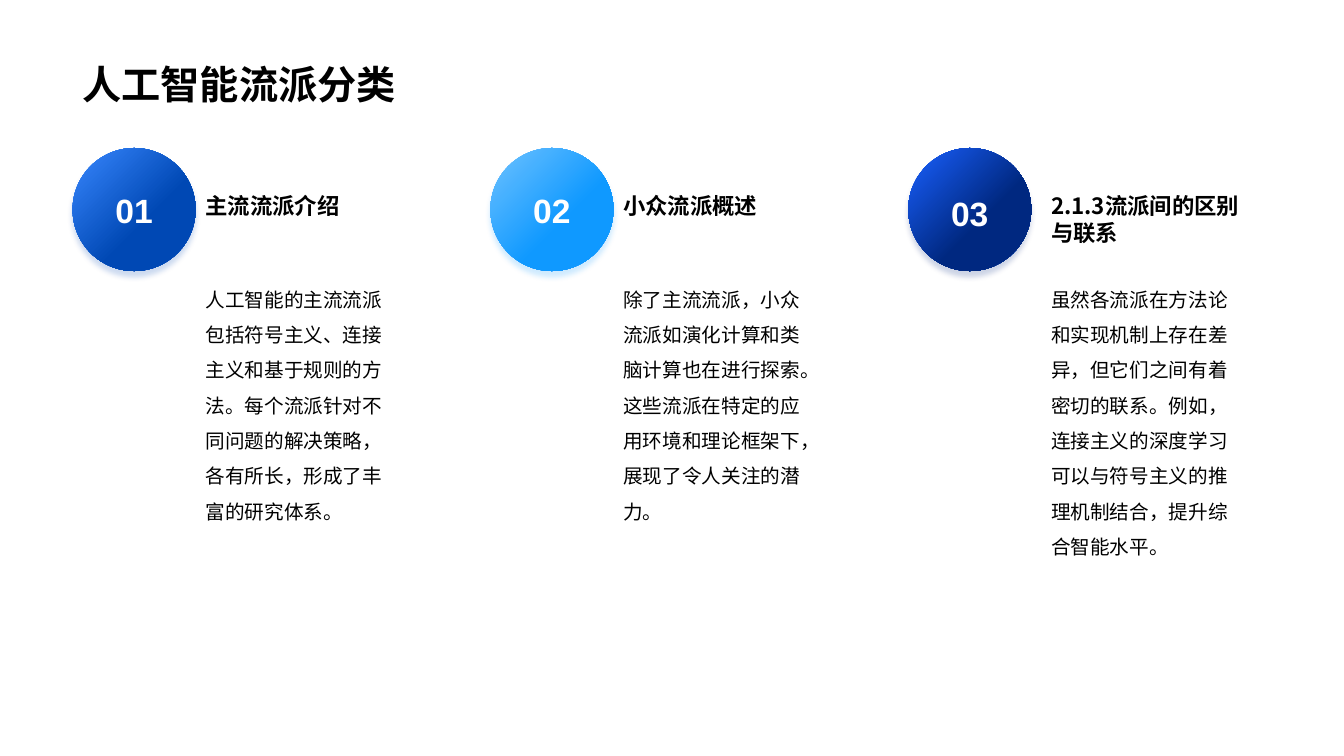
from dataclasses import dataclass

from lxml import etree
from pptx import Presentation
from pptx.dml.color import RGBColor
from pptx.enum.shapes import MSO_SHAPE
from pptx.enum.text import MSO_ANCHOR, MSO_AUTO_SIZE, PP_ALIGN
from pptx.oxml.ns import qn
from pptx.util import Cm, Pt

OVAL = MSO_SHAPE.OVAL
TOP, BOTTOM = MSO_ANCHOR.TOP, MSO_ANCHOR.BOTTOM
LEFT, CENTER = PP_ALIGN.LEFT, PP_ALIGN.CENTER
FIT_SHAPE = MSO_AUTO_SIZE.SHAPE_TO_FIT_TEXT

LATIN_FONT = "Arial"
CJK_FONT = "Noto Sans CJK SC"
COLORS = {
    "text": "000000",
    "number": "FFFFFF",
    "blue_light": "3988FF",
    "blue": "0048B4",
    "sky_light": "6FC2FF",
    "sky": "0F99FF",
    "navy_light": "1A61FF",
    "navy": "002880",
}

# Lengths in centimetres
MARGIN = 1.83
COLUMN_PITCH = 10.53
CIRCLE_TOP, CIRCLE_SIZE = 3.73, 3.1
NUMBER_WIDTH, NUMBER_HEIGHT = 1.48, 1.27
HEADING_TOP, HEADING_HEIGHT = 4.72, 0.94
BODY_TOP, BODY_HEIGHT = 6.83, 7.34
TEXT_WIDTH = 5.36


@dataclass
class School:
    heading: str
    body: str
    color: str
    number_top: float = 4.65
    text_gap: float = 0.0


SCHOOLS = [
    School("主流流派介绍",
           "人工智能的主流流派包括符号主义、连接主义和基于规则的方法。"
           "每个流派针对不同问题的解决策略，各有所长，形成了丰富的研究体系。",
           "blue"),
    School("小众流派概述",
           "除了主流流派，小众流派如演化计算和类脑计算也在进行探索。"
           "这些流派在特定的应用环境和理论框架下，展现了令人关注的潜力。",
           "sky"),
    School("2.1.3流派间的区别与联系",
           "虽然各流派在方法论和实现机制上存在差异，但它们之间有着密切的联系。"
           "例如，连接主义的深度学习可以与符号主义的推理机制结合，提升综合智能水平。",
           "navy", number_top=4.72, text_gap=0.25),
]


def rgb(name: str) -> RGBColor:
    return RGBColor.from_string(COLORS[name])


def add_text(slide, text: str, left: float, top: float, width: float, height: float,
             size: int, bold: bool = False, font: str = CJK_FONT, color: str = "text",
             anchor=TOP, align=LEFT, wrap: bool = True, grow: bool = True,
             spacing: float = 1.0) -> None:
    tf = slide.shapes.add_textbox(Cm(left), Cm(top), Cm(width), Cm(height)).text_frame
    tf.word_wrap = wrap
    tf.vertical_anchor = anchor
    if grow:
        tf.auto_size = FIT_SHAPE
    p = tf.paragraphs[0]
    p.text = text
    p.alignment = align
    p.line_spacing = spacing
    r = p.runs[0]
    r.font.size = Pt(size)
    r.font.bold = bold
    r.font.name = font
    r.font.color.rgb = rgb(color)
    etree.SubElement(r.font._element, qn("a:ea"), typeface=CJK_FONT)


def add_shadow(sp, color: str) -> None:
    """Give the shape a soft shadow that falls straight down."""
    sp.shadow.inherit = False
    effects = sp._element.spPr.find(qn("a:effectLst"))
    shadow = etree.SubElement(effects, qn("a:outerShdw"), blurRad=str(Pt(4)),
                              dist=str(Pt(4)), dir="5400000", algn="t", rotWithShape="0")
    tone = etree.SubElement(shadow, qn("a:srgbClr"), val=COLORS[color])
    etree.SubElement(tone, qn("a:alpha"), val="20000")


def add_circle(slide, left: float, color: str) -> None:
    sp = slide.shapes.add_shape(OVAL, Cm(left), Cm(CIRCLE_TOP), Cm(CIRCLE_SIZE), Cm(CIRCLE_SIZE))
    sp.line.fill.background()
    sp.fill.gradient()
    sp.fill.gradient_angle = 315
    stops = zip(sp.fill.gradient_stops, (0, 0.6), (f"{color}_light", color))
    for stop, position, name in stops:
        stop.position = position
        stop.color.rgb = rgb(name)
    add_shadow(sp, color)


def add_school(slide, index: int, school: School) -> None:
    left = MARGIN + index * COLUMN_PITCH
    text_left = left + CIRCLE_SIZE + school.text_gap
    add_circle(slide, left, school.color)
    add_text(slide, f"{index + 1:02}", left + (CIRCLE_SIZE - NUMBER_WIDTH) / 2,
             school.number_top, NUMBER_WIDTH, NUMBER_HEIGHT, 24, bold=True, font=LATIN_FONT,
             color="number", anchor=BOTTOM, align=CENTER, wrap=False)
    add_text(slide, school.heading, text_left, HEADING_TOP, TEXT_WIDTH, HEADING_HEIGHT,
             16, bold=True)
    add_text(slide, school.body, text_left, BODY_TOP, TEXT_WIDTH, BODY_HEIGHT,
             14, spacing=1.5)


def main() -> None:
    prs = Presentation()
    prs.slide_width, prs.slide_height = Cm(33.87), Cm(19.05)
    slide = prs.slides.add_slide(prs.slide_layouts[6])
    add_text(slide, "人工智能流派分类", MARGIN, 0, 30.18, 2.84, 28, bold=True,
             font=LATIN_FONT, anchor=BOTTOM, grow=False)
    for index, school in enumerate(SCHOOLS):
        add_school(slide, index, school)
    prs.save("out.pptx")


if __name__ == "__main__":
    main()
